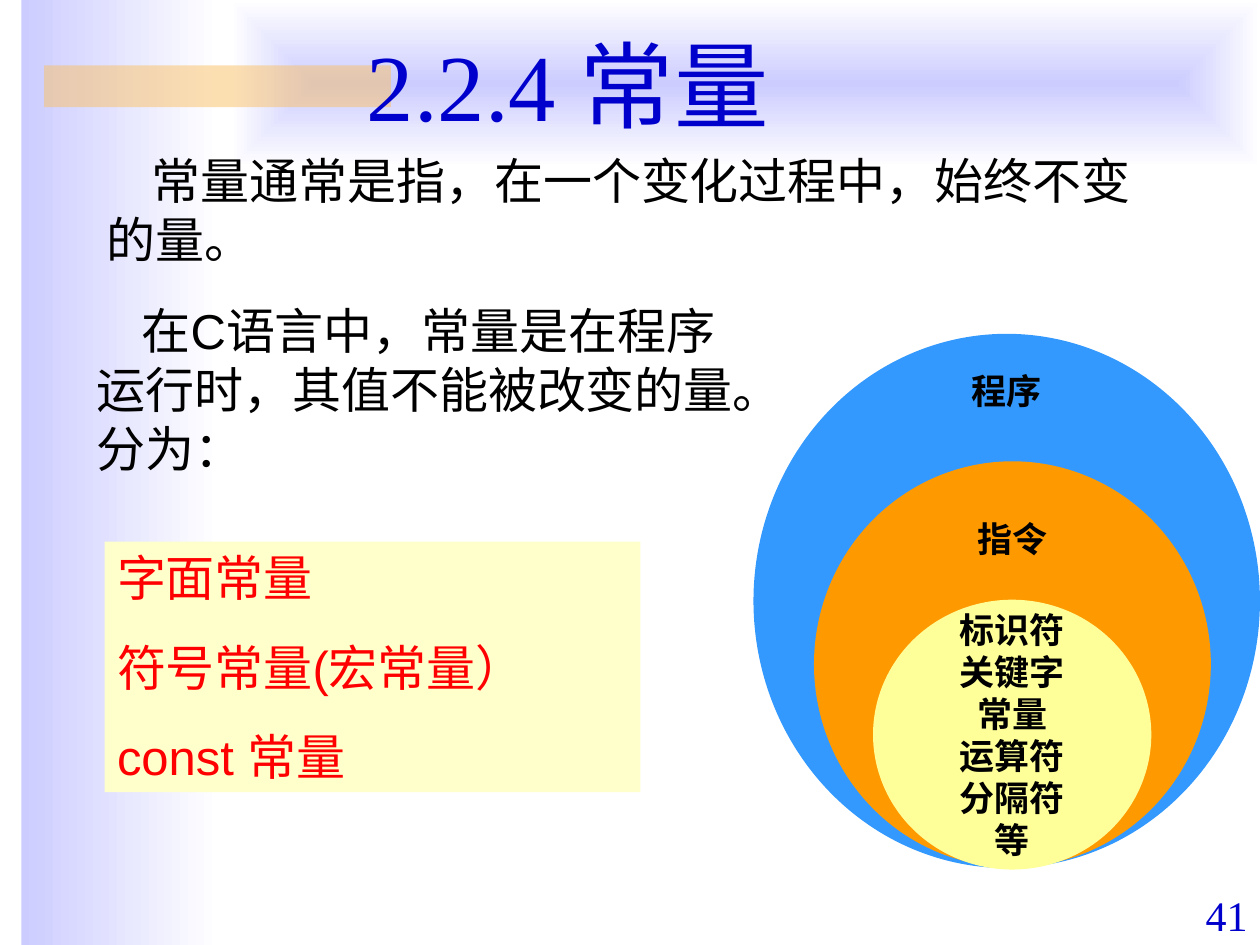
from dataclasses import dataclass, field

from lxml import etree
from pptx import Presentation
from pptx.dml.color import RGBColor
from pptx.enum import shapes, text
from pptx.oxml import parse_xml
from pptx.oxml.ns import nsdecls, qn
from pptx.util import Cm, Pt

COLORS = {
    "lavender": "CCCCFF", "white": "FFFFFF", "gold": "FAC164",
    "blue": "3399FF", "orange": "FF9900", "yellow": "FFFF99",
    "cream": "FFFFCC", "red": "FF0000", "black": "000000", "navy": "0000CC",
}
LINEAR = '<a:lin ang="0" scaled="0"/>'
FROM_CENTRE = ('<a:path path="rect"><a:fillToRect l="50000" t="50000" '
               'r="50000" b="50000"/></a:path>')

RECT = shapes.MSO_SHAPE.RECTANGLE
OVAL = shapes.MSO_SHAPE.OVAL
TOP, MIDDLE, BOTTOM = (text.MSO_ANCHOR.TOP, text.MSO_ANCHOR.MIDDLE,
                       text.MSO_ANCHOR.BOTTOM)
LEFT, CENTER, RIGHT = (text.PP_ALIGN.LEFT, text.PP_ALIGN.CENTER,
                       text.PP_ALIGN.RIGHT)


@dataclass
class Box:
    """Position and size in centimetres."""
    left: float
    top: float
    width: float
    height: float

    def emu(self) -> list:
        return [Cm(v) for v in (self.left, self.top, self.width, self.height)]


@dataclass
class Style:
    color: str = "black"
    align: int = LEFT
    anchor: int = MIDDLE
    gap: float = 0        # space before paragraphs after the first, points
    indent: float = 0     # first-line indent, cm
    font: dict = field(default_factory=lambda: {"name": "Arial", "size": Pt(28)})


@dataclass
class Ring:
    box: Box
    color: str
    label: str
    label_drop: float     # distance from the top of the ring to its label


LABEL = Style(align=CENTER, font={"name": "Arial", "size": Pt(20), "bold": True})
INDENTED = Style(indent=0.91)
LIST = Style(color="red", anchor=TOP, gap=17.5)
TITLE = Style(color="navy", align=CENTER,
              font={"name": "Times New Roman", "size": Pt(54), "bold": False})
NUMBER = Style(color="navy", align=RIGHT, anchor=BOTTOM,
               font={"name": "Times New Roman", "size": Pt(24)})

RINGS = [
    Ring(Box(15.19, 6.73, 10.21, 10.77), "blue", "程序", 0.54),
    Ring(Box(16.41, 9.3, 8, 8.18), "orange", "指令", 0.95),
]
CORE = ["标识符", "关键字", "常量", "运算符", "分隔符", "等"]
KINDS = ["字面常量", "符号常量(宏常量）", "const 常量"]
PARAGRAPHS = [
    (Box(1.9, 2.9, 21.59, 2.64),
     "常量通常是指，在一个变化过程中，始终不变的量。"),
    (Box(1.7, 5.94, 13.41, 3.81),
     "在C语言中，常量是在程序运行时，其值不能被改变的量。分为："),
]


def write(sp, lines: list, style: Style) -> None:
    tf = sp.text_frame
    tf.word_wrap = True
    tf.vertical_anchor = style.anchor
    for i, line in enumerate(lines):
        p = tf.paragraphs[0] if i == 0 else tf.add_paragraph()
        p.alignment = style.align
        p.space_before = Pt(style.gap if i else 0)
        if style.indent:
            p._p.get_or_add_pPr().set("indent", str(Cm(style.indent)))
        r = p.add_run()
        r.text = line
        for name, value in style.font.items():
            setattr(r.font, name, value)
        r.font.color.rgb = RGBColor.from_string(COLORS[style.color])


def add_text(s, box: Box, lines: list, style: Style) -> None:
    write(s.shapes.add_textbox(*box.emu()), lines, style)


def add_shape(s, kind: int, box: Box, color: str):
    sp = s.shapes.add_shape(kind, *box.emu())
    sp.shadow.inherit = False
    sp.line.fill.background()
    sp.fill.solid()
    sp.fill.fore_color.rgb = RGBColor.from_string(COLORS[color])
    return sp


def add_gradient(s, box: Box, direction: str) -> None:
    """Rectangle that fades from lavender to white."""
    sp = add_shape(s, RECT, box, "lavender")
    stops = "".join(
        f'<a:gs pos="{pos}"><a:srgbClr val="{COLORS[c]}"/></a:gs>'
        for pos, c in ((0, "lavender"), (100000, "white")))
    props = sp.element.spPr
    props.replace(props.find(qn("a:solidFill")), parse_xml(
        f'<a:gradFill {nsdecls("a")} rotWithShape="1">'
        f"<a:gsLst>{stops}</a:gsLst>{direction}</a:gradFill>"))


def main() -> None:
    prs = Presentation()
    prs.slide_width, prs.slide_height = Cm(25.4), Cm(19.05)
    s = prs.slides.add_slide(prs.slide_layouts[5])

    # Background decoration
    add_gradient(s, Box(0.43, 0, 4.01, 19.05), LINEAR)
    add_gradient(s, Box(4.65, 0, 20.75, 3.38), FROM_CENTRE)
    bar = add_shape(s, RECT, Box(0.89, 1.32, 6.99, 0.84), "gold")
    tint = bar.element.spPr.find(qn("a:solidFill"))[0]
    etree.SubElement(tint, qn("a:alpha")).set("val", "50000")

    # Nested circles
    for ring in RINGS:
        add_shape(s, OVAL, ring.box, ring.color)
        b = ring.box
        add_text(s, Box(b.left, b.top + ring.label_drop, b.width, 1.2),
                 [ring.label], LABEL)
    core = add_shape(s, OVAL, Box(17.6, 12.09, 5.61, 5.44), "yellow")
    write(core, CORE, LABEL)

    # Title, above the decoration
    title = s.shapes.title
    title.left, title.top, title.width, title.height = Box(
        0, 0.84, 22.89, 1.7).emu()
    write(title, ["2.2.4 常量"], TITLE)
    title.text_frame.auto_size = text.MSO_AUTO_SIZE.NONE
    s.shapes.element.append(title.element)

    # Kinds of constants
    kinds = add_shape(s, RECT, Box(2.11, 10.92, 10.8, 5.05), "cream")
    write(kinds, KINDS, LIST)

    # Definitions and page number
    for box, line in PARAGRAPHS:
        add_text(s, box, [line], INDENTED)
    add_text(s, Box(22.86, 17.81, 2.54, 1.27), ["41"], NUMBER)

    prs.save("out.pptx")


if __name__ == "__main__":
    main()
